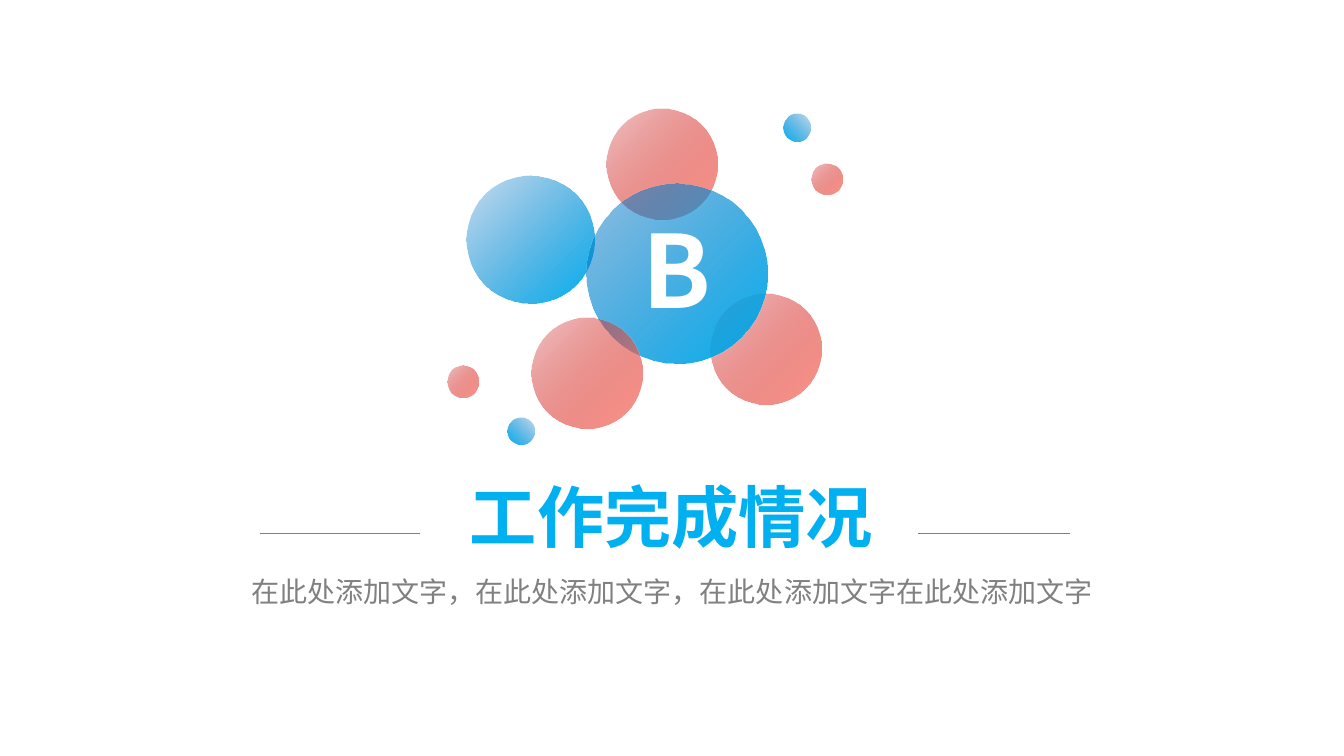
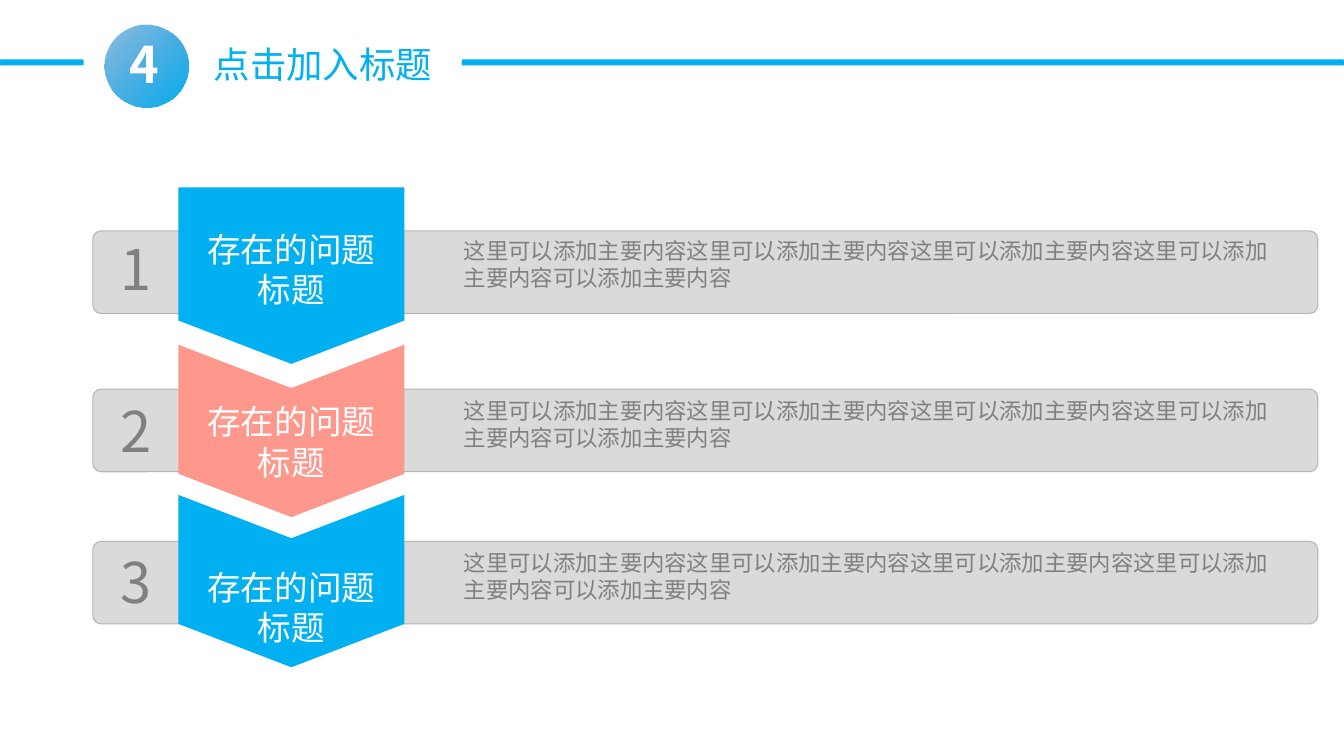
from dataclasses import dataclass

from lxml import etree
from pptx import Presentation
from pptx.dml.color import RGBColor
from pptx.enum import shapes, text
from pptx.oxml.ns import qn
from pptx.util import Emu, Pt

PX = 9144  # EMU per px, 100 px to the inch


@dataclass(frozen=True)
class Theme:
    font: str = "Noto Sans CJK SC"
    # Colours
    blue: str = "00B0F0"
    deep_blue: str = "0070C0"
    coral: str = "FE978C"
    deep_red: str = "C00000"
    white: str = "FFFFFF"
    grey: str = "808080"
    bar: str = "DADADB"
    bar_edge: str = "B5B5B7"
    # Type sizes in points
    letter: int = 72
    section: int = 48
    number: int = 40
    badge: int = 36
    title: int = 26
    label: int = 24
    subtitle: int = 20
    body: int = 16


T = Theme()
BLUE_FADE = (T.deep_blue, T.blue)
RED_FADE = (T.deep_red, T.coral)


def emu(*lengths):
    return [Emu(n * PX) for n in lengths]


def write(tf, content, size, color, bold=False, align="LEFT", spacing=0, inset=(10, 5)):
    """Fill a text frame with one formatted paragraph."""
    tf.word_wrap = True
    tf.auto_size = text.MSO_AUTO_SIZE.NONE
    tf.vertical_anchor = text.MSO_ANCHOR.TOP
    tf.margin_left = tf.margin_right = Emu(inset[0] * PX)
    tf.margin_top = tf.margin_bottom = Emu(inset[1] * PX)
    p = tf.paragraphs[0]
    p.alignment = getattr(text.PP_ALIGN, align)
    p.space_before = Pt(0)
    r = p.add_run()
    r.text = content
    r.font.name, r.font.size, r.font.bold = T.font, Pt(size), bold
    r.font.color.rgb = RGBColor.from_string(color)
    # East Asian typeface and letter spacing
    rPr = r._r.get_or_add_rPr()
    etree.SubElement(rPr, qn("a:ea"), typeface=T.font)
    if spacing:
        rPr.set("spc", str(spacing * 100))


class Deck:
    def __init__(self):
        self.prs = Presentation()
        self.prs.slide_width, self.prs.slide_height = emu(1333, 750)
        self.slide = None

    def new_slide(self, layout):
        self.slide = self.prs.slides.add_slide(self.prs.slide_layouts[layout])

    def placeholder(self, index, box, content, **fmt):
        sp = self.slide.placeholders[index]
        sp.left, sp.top, sp.width, sp.height = emu(*box)
        write(sp.text_frame, content, **fmt)

    def text(self, box, content, **fmt):
        sp = self.slide.shapes.add_textbox(*emu(*box))
        write(sp.text_frame, content, **fmt)

    def paint(self, sp, fill, edge=None):
        sp.shadow.inherit = False
        sp.fill.solid()
        sp.fill.fore_color.rgb = RGBColor.from_string(fill)
        if edge:
            sp.line.color.rgb = RGBColor.from_string(edge)
            sp.line.width = Pt(0)
        else:
            sp.line.fill.background()

    def round_bar(self, box, fill, radius, edge=None):
        sp = self.slide.shapes.add_shape(shapes.MSO_SHAPE.ROUNDED_RECTANGLE, *emu(*box))
        sp.adjustments[0] = radius
        self.paint(sp, fill, edge)

    def bubble(self, x, y, size, fade, alpha=22, angle=315):
        """Circle that fades in from a see-through first colour."""
        sp = self.slide.shapes.add_shape(shapes.MSO_SHAPE.OVAL, *emu(x, y, size, size))
        sp.shadow.inherit = False
        sp.line.fill.background()
        sp.fill.gradient()
        sp.fill.gradient_angle = angle
        for stop, color in zip(sp.fill.gradient_stops, fade):
            stop.color.rgb = RGBColor.from_string(color)
        first = sp.element.spPr.find(".//" + qn("a:srgbClr"))
        etree.SubElement(first, qn("a:alpha"), val=str(alpha * 1000))

    def rule(self, x1, x2, y, color):
        cx = self.slide.shapes.add_connector(
            shapes.MSO_CONNECTOR.STRAIGHT, *emu(x1, y, x2, y))
        cx.line.color.rgb = RGBColor.from_string(color)
        cx.line.width = Pt(0.75)
        etree.SubElement(cx.element.spPr, qn("a:effectLst"))

    def down_arrow(self, x, y, width, height, notch, fill, tip=43):
        """Downward chevron; a notch of 0 gives a flat top."""
        mid, right, side = x + width // 2, x + width, y + height - tip
        fb = self.slide.shapes.build_freeform(right, y, scale=PX)
        fb.add_line_segments([(right, side), (mid, y + height), (x, side),
                              (x, y), (mid, y + notch)])
        self.paint(fb.convert_to_shape(), fill)

    def header(self, number, title):
        self.placeholder(0, (202, 37, 250, 54), title, size=T.title, color=T.blue)
        for x, width in ((458, 875), (0, 83)):
            self.round_bar((x, 59, width, 6), T.blue, 0.17)
        self.bubble(104, 24, 83, BLUE_FADE, alpha=44)
        self.text((78, 28, 131, 71), number, size=T.badge, color=T.white,
                  bold=True, align="CENTER", spacing=-3)


def section_slide(deck):
    deck.new_slide(0)
    # Bubble cluster
    deck.bubble(602, 108, 110, RED_FADE)
    deck.bubble(705, 291, 110, RED_FADE)
    deck.bubble(463, 174, 127, BLUE_FADE)
    deck.bubble(582, 182, 179, BLUE_FADE, alpha=44)
    deck.bubble(777, 113, 27, BLUE_FADE, angle=225)
    deck.bubble(805, 162, 31, RED_FADE)
    deck.bubble(527, 315, 110, RED_FADE)
    deck.bubble(503, 414, 27, BLUE_FADE, angle=225)
    deck.bubble(444, 363, 31, RED_FADE)
    deck.text((584, 201, 175, 131), "B", size=T.letter, color=T.white,
              bold=True, align="CENTER", spacing=-3)
    # Title between two rules
    deck.placeholder(0, (385, 467, 562, 91), "工作完成情况", size=T.section,
                     color=T.blue, bold=True, align="CENTER")
    deck.placeholder(1, (143, 565, 1047, 44),
                     "在此处添加文字，在此处添加文字，在此处添加文字在此处添加文字",
                     size=T.subtitle, color=T.grey, align="CENTER")
    deck.rule(258, 417, 529, T.grey)
    deck.rule(910, 1061, 529, T.grey)


def problems_slide(deck):
    deck.new_slide(5)
    deck.header("4", "点击加入标题")
    body = ("这里可以添加主要内容" * 4) + "可以添加主要内容"
    # Tops of bar, number, label and body, then arrow top, height, notch and colour
    rows = [
        (229, 229, 223, 231, 186, 175, 0, T.blue),
        (386, 389, 394, 390, 342, 171, 43, T.coral),
        (537, 539, 558, 541, 491, 171, 43, T.blue),
    ]
    inset = (7, 4)
    for i, (bar, num, label, para, top, height, notch, color) in enumerate(rows, 1):
        deck.round_bar((92, bar, 1215, 82), T.bar, 0.1, T.bar_edge)
        deck.down_arrow(177, top, 224, height, notch, color)
        deck.text((98, num, 73, 75), str(i), size=T.number, color=T.grey,
                  align="CENTER", inset=inset)
        deck.text((195, label, 188, 88), "存在的问题标题", size=T.label,
                  color=T.white, align="CENTER", inset=inset)
        deck.text((453, para, 830, 61), body, size=T.body, color=T.grey, inset=inset)


def main():
    deck = Deck()
    section_slide(deck)
    problems_slide(deck)
    deck.prs.save("out.pptx")


if __name__ == "__main__":
    main()
